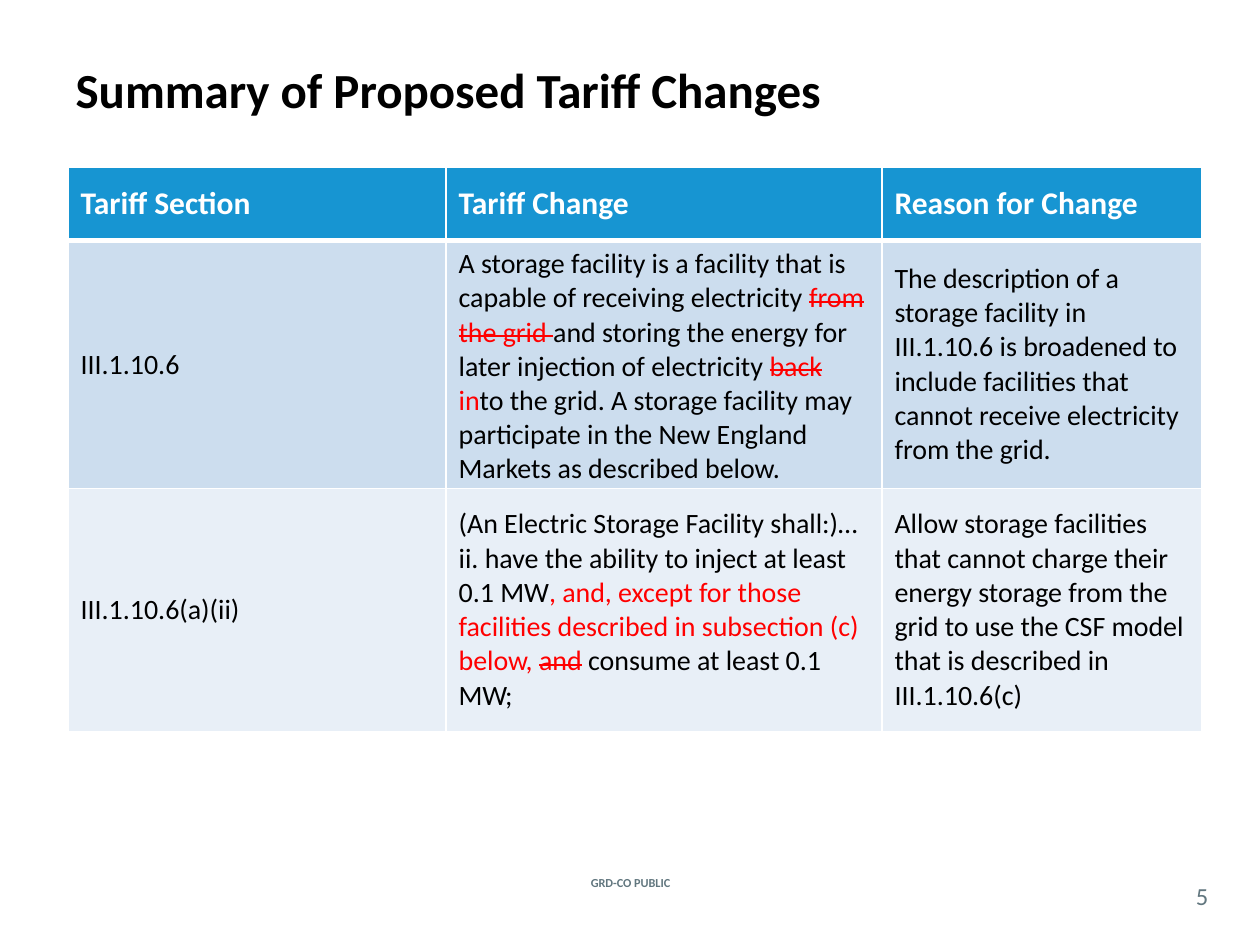
from dataclasses import dataclass

from lxml.etree import SubElement
from pptx import Presentation
from pptx.dml.color import RGBColor
from pptx.enum.text import MSO_ANCHOR as Anchor, MSO_AUTO_SIZE as AutoSize, PP_ALIGN as Align
from pptx.oxml.ns import qn
from pptx.util import Inches, Pt

COLORS = {
    "black": "000000", "white": "FFFFFF", "red": "FF0000", "slate": "62777F",
    "header": "1795D2", "band_dark": "CCDDEE", "band_light": "E8EFF7",
}


@dataclass(frozen=True)
class Span:
    text: str
    color: str = "black"
    strike: bool = False


@dataclass(frozen=True)
class Row:
    height: float
    fill: str
    cells: tuple
    size: int = 16
    bold: bool = False
    top: int = 1
    bottom: int = 1


@dataclass(frozen=True)
class Label:
    text: str
    box: tuple
    size: int
    bold: bool = False
    margin: float = 0


def rgb(name: str) -> RGBColor:
    return RGBColor.from_string(COLORS[name])


def write(p, span: Span, size: int, bold: bool) -> None:
    r = p.add_run()
    r.text = span.text
    for key, value in {"name": "Calibri", "size": Pt(size), "bold": bold}.items():
        setattr(r.font, key, value)
    r.font.color.rgb = rgb(span.color)
    if span.strike:
        r.font._element.set("strike", "sngStrike")


def add_border(cell, side: str, width: int) -> None:
    ln = SubElement(cell._tc.get_or_add_tcPr(), qn(f"a:ln{side}"), w=str(Pt(width)))
    fill = SubElement(ln, qn("a:solidFill"))
    SubElement(fill, qn("a:srgbClr"), val=COLORS["white"])


def fill_cell(cell, paragraphs: tuple, row: Row) -> None:
    for side, width in {"L": 1, "R": 1, "T": row.top, "B": row.bottom}.items():
        add_border(cell, side, width)
    cell.fill.solid()
    cell.fill.fore_color.rgb = rgb(row.fill)
    cell.vertical_anchor = Anchor.MIDDLE
    tf = cell.text_frame
    for i, spans in enumerate(paragraphs):
        p = tf.add_paragraph() if i else tf.paragraphs[0]
        for span in spans:
            write(p, span, row.size, row.bold)


def add_tariff_table(s, rows: tuple, widths: tuple) -> None:
    frame = s.shapes.add_table(
        len(rows), len(widths), Inches(0.54), Inches(1.33),
        Inches(sum(widths)), Inches(sum(row.height for row in rows)))
    table = frame.table
    for column, width in zip(table.columns, widths):
        column.width = Inches(width)
    for table_row, row in zip(table.rows, rows):
        table_row.height = Inches(row.height)
        for cell, paragraphs in zip(table_row.cells, row.cells):
            fill_cell(cell, paragraphs, row)


def add_label(s, label: Label) -> None:
    tf = s.shapes.add_textbox(*map(Inches, label.box)).text_frame
    margin = Inches(label.margin)
    formats = {
        "word_wrap": True, "vertical_anchor": Anchor.MIDDLE,
        "margin_left": margin, "margin_right": margin,
        "margin_top": 0, "margin_bottom": 0,
    }
    for key, value in formats.items():
        setattr(tf, key, value)
    p = tf.paragraphs[0]
    p.alignment = Align.CENTER
    write(p, Span(label.text, "slate"), label.size, label.bold)


def add_title(s, text: str) -> None:
    sp = s.shapes.title
    box = {"left": 0.5, "top": 0.08, "width": 9, "height": 1.25}
    for key, value in box.items():
        setattr(sp, key, Inches(value))
    tf = sp.text_frame
    formats = {"vertical_anchor": Anchor.MIDDLE, "word_wrap": True, "auto_size": AutoSize.NONE}
    for key, value in formats.items():
        setattr(tf, key, value)
    p = tf.paragraphs[0]
    p.alignment = Align.LEFT
    write(p, Span(text), 28, True)


def plain(text: str, color: str = "black") -> tuple:
    return ((Span(text, color),),)


HEADINGS = ("Tariff Section", "Tariff Change", "Reason for Change")
WIDTHS = (3, 3.46, 2.54)

STORAGE_DEFINITION = ((
    Span("A storage facility is a facility that is capable of receiving electricity "),
    Span("from the grid ", "red", True),
    Span("and storing the energy for later injection of electricity "),
    Span("back", "red", True),
    Span(" in", "red"),
    Span("to the grid. A storage facility may participate in the New England "
         "Markets as described below."),
),)

INJECTION_ABILITY = (
    (Span("(An Electric Storage Facility shall:)…"),),
    (
        Span("ii. have the ability to inject at least 0.1 MW"),
        Span(", and, except for those facilities described in subsection (c) below, ", "red"),
        Span("and", "red", True),
        Span(" ", "red"),
        Span("consume at least 0.1 MW;"),
    ),
)

ROWS = (
    Row(0.58, "header", tuple(plain(h, "white") for h in HEADINGS), 18, True, bottom=3),
    Row(1.88, "band_dark", (
        plain("III.1.10.6"),
        STORAGE_DEFINITION,
        plain("The description of a storage facility in III.1.10.6 is broadened to "
              "include facilities that cannot receive electricity from the grid."),
    ), top=3),
    Row(1.93, "band_light", (
        plain("III.1.10.6(a)(ii)"),
        INJECTION_ABILITY,
        plain("Allow storage facilities that cannot charge their energy storage from "
              "the grid to use the CSF model that is described in III.1.10.6(c)"),
    )),
)

LABELS = (
    Label("GRD-CO PUBLIC", (4.27, 6.92, 1.47, 0.17), 7, True, 0.1),
    Label("5", (9.33, 6.96, 0.42, 0.29), 14),
)


def main() -> None:
    prs = Presentation()
    prs.slide_width, prs.slide_height = Inches(10), Inches(7.5)
    s = prs.slides.add_slide(prs.slide_layouts[5])
    for label in LABELS:
        add_label(s, label)
    add_title(s, "Summary of Proposed Tariff Changes")
    add_tariff_table(s, ROWS, WIDTHS)
    prs.save("out.pptx")


if __name__ == "__main__":
    main()
